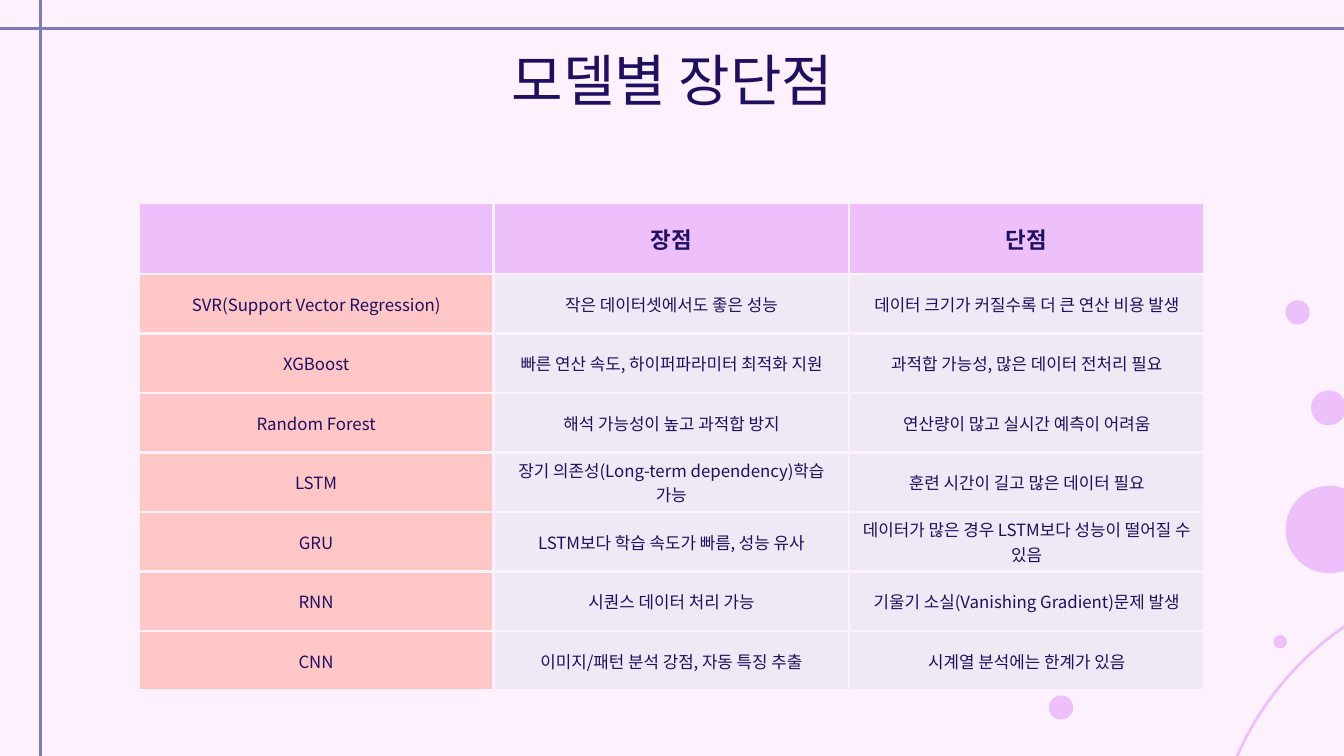
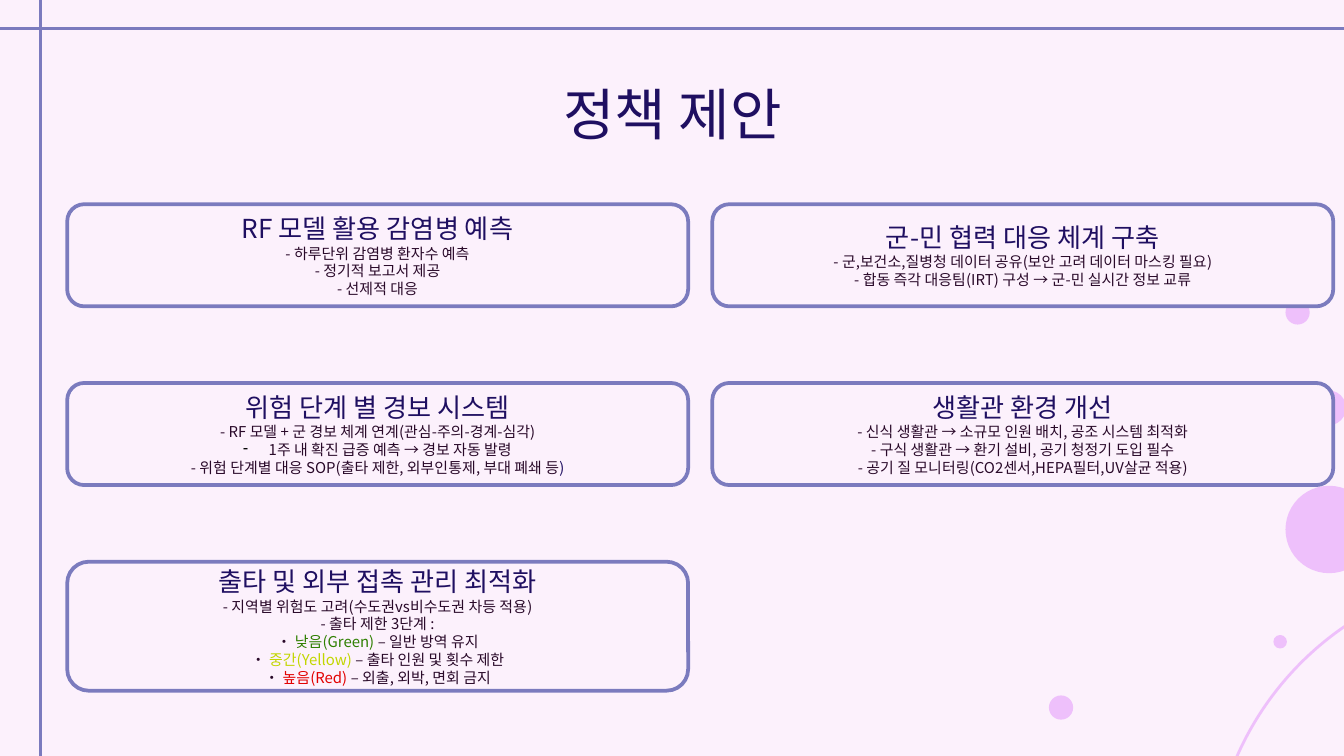
from lxml import etree
from pptx import Presentation
from pptx.dml.color import RGBColor
from pptx.enum.shapes import MSO_CONNECTOR, MSO_SHAPE
from pptx.enum.text import MSO_ANCHOR, PP_ALIGN
from pptx.oxml.ns import qn
from pptx.util import Inches, Pt

FONT = "Noto Sans CJK KR"
BACKGROUND = RGBColor(0xFC, 0xF1, 0xFC)
RULE = RGBColor(0x7B, 0x7B, 0xBE)
ORCHID = RGBColor(0xEE, 0xC0, 0xFB)
PINK = RGBColor(0xFF, 0xC6, 0xC6)
LAVENDER = RGBColor(0xEE, 0xE9, 0xF5)
NAVY = RGBColor(0x1F, 0x0F, 0x61)
PLUM = RGBColor(0x29, 0x09, 0x29)
GREEN = RGBColor(0x2E, 0x7F, 0x00)
YELLOW = RGBColor(0xC2, 0xD6, 0x00)
RED = RGBColor(0xE2, 0x00, 0x00)
BLACK = RGBColor(0, 0, 0)

SLIDE_WIDTH = 10
SLIDE_HEIGHT = SLIDE_WIDTH * 9 / 16
TITLE_BOX = {"left": 0.79, "width": 8.43, "height": 0.63}
TITLE_STYLE = {"size": Pt(30), "color": NAVY}
HEADER_STYLE = {"size": Pt(12), "bold": True, "color": NAVY}
CELL_STYLE = {"size": Pt(9), "bold": False, "color": NAVY}
HEADING_STYLE = {"size": Pt(14), "color": NAVY}
DETAIL_STYLE = {"size": Pt(8), "color": PLUM}

# left, top, diameter
DOTS = [(7.81, 5.18, 0.17), (9.57, 3.62, 0.64), (9.76, 2.91, 0.25),
        (9.57, 2.24, 0.17), (9.48, 4.73, 0.09)]
ARC = (9.01, 4.26, 4.58)

MODELS = [
    ("", "장점", "단점"),
    ("SVR(Support Vector Regression)", "작은 데이터셋에서도 좋은 성능",
     "데이터 크기가 커질수록 더 큰 연산 비용 발생"),
    ("XGBoost", "빠른 연산 속도, 하이퍼파라미터 최적화 지원",
     "과적합 가능성, 많은 데이터 전처리 필요"),
    ("Random Forest", "해석 가능성이 높고 과적합 방지",
     "연산량이 많고 실시간 예측이 어려움"),
    ("LSTM", "장기 의존성(Long-term dependency)학습 가능",
     "훈련 시간이 길고 많은 데이터 필요"),
    ("GRU", "LSTM보다 학습 속도가 빠름, 성능 유사",
     "데이터가 많은 경우 LSTM보다 성능이 떨어질 수 있음"),
    ("RNN", "시퀀스 데이터 처리 가능",
     "기울기 소실(Vanishing Gradient)문제 발생"),
    ("CNN", "이미지/패턴 분석 강점, 자동 특징 추출",
     "시계열 분석에는 한계가 있음"),
]

# Each detail is a list of (text, colour) runs; "dash" is the index of a bulleted one.
PROPOSALS = [
    {"column": 0, "row": 0, "height": 0.76, "heading": "RF 모델 활용 감염병 예측",
     "details": [[("- 하루단위 감염병 환자수 예측", PLUM)],
                 [("- 정기적 보고서 제공", PLUM)],
                 [("- 선제적 대응", PLUM)]]},
    {"column": 1, "row": 0, "height": 0.76, "heading": "군-민 협력 대응 체계 구축",
     "details": [[("- 군,보건소,질병청 데이터 공유(보안 고려 데이터 마스킹 필요)", PLUM)],
                 [("- 합동 즉각 대응팀(IRT) 구성 → 군-민 실시간 정보 교류", PLUM)]]},
    {"column": 0, "row": 1, "height": 0.76, "heading": "위험 단계 별 경보 시스템",
     "dash": 1,
     "details": [[("- RF 모델 + 군 경보 체계 연계(관심-주의-경계-심각)", PLUM)],
                 [("1주 내 확진 급증 예측 → 경보 자동 발령", PLUM)],
                 [("- 위험 단계별 대응 SOP(출타 제한, 외부인통제, 부대 폐쇄 등", PLUM),
                  (")", NAVY)]]},
    {"column": 0, "row": 2, "height": 0.96, "heading": "출타 및 외부 접촉 관리 최적화",
     "details": [[("- 지역별 위험도 고려(수도권vs비수도권 차등 적용)", PLUM)],
                 [("- 출타 제한 3단계 :", PLUM)],
                 [("• ", PLUM), ("낮음(Green) ", GREEN), ("– 일반 방역 유지", PLUM)],
                 [("• ", PLUM), ("중간(Yellow)", YELLOW),
                  (" – 출타 인원 및 횟수 제한", PLUM)],
                 [("• ", PLUM), ("높음(Red)", RED), (" – 외출, 외박, 면회 금지", PLUM)]]},
    {"column": 1, "row": 1, "height": 0.76, "heading": "생활관 환경 개선",
     "details": [[("- 신식 생활관 → 소규모 인원 배치, 공조 시스템 최적화", PLUM)],
                 [("- 구식 생활관 → 환기 설비, 공기 청정기 도입 필수", PLUM)],
                 [("- 공기 질 모니터링(CO2센서,HEPA필터,UV살균 적용)", PLUM)]]},
]


def add_run(paragraph, text, style):
    run = paragraph.add_run()
    run.text = text
    for name, value in style.items():
        if name == "color":
            run.font.color.rgb = value
        else:
            setattr(run.font, name, value)
    run.font.name = FONT
    east_asian = etree.SubElement(run.font._element, qn("a:ea"))
    east_asian.set("typeface", FONT)


def set_frame(frame, margin_x, margin_y, anchor):
    settings = {"margin_left": Inches(margin_x), "margin_right": Inches(margin_x),
                "margin_top": Inches(margin_y), "margin_bottom": Inches(margin_y),
                "vertical_anchor": anchor, "word_wrap": True}
    for name, value in settings.items():
        setattr(frame, name, value)
    frame.paragraphs[0].alignment = PP_ALIGN.CENTER


def add_preset(slide, preset, box, fill, line, line_width):
    shape = slide.shapes.add_shape(preset, *map(Inches, box))
    shape.shadow.inherit = False
    if fill is None:
        shape.fill.background()
    else:
        shape.fill.solid()
        shape.fill.fore_color.rgb = fill
    shape.line.color.rgb = line
    shape.line.width = Pt(line_width)
    return shape


def add_rule(slide, *ends):
    rule = slide.shapes.add_connector(MSO_CONNECTOR.STRAIGHT, *map(Inches, ends))
    rule.line.color.rgb = RULE
    rule.line.width = Pt(1.5)
    etree.SubElement(rule._element.spPr, qn("a:effectLst"))


def add_decoration(slide):
    add_rule(slide, 0.3, 0, 0.3, SLIDE_HEIGHT)
    add_rule(slide, 0, 0.21, SLIDE_WIDTH, 0.21)
    for left, top, diameter in DOTS:
        add_preset(slide, MSO_SHAPE.OVAL, (left, top, diameter, diameter),
                   ORCHID, ORCHID, 0.75)
    left, top, diameter = ARC
    add_preset(slide, MSO_SHAPE.OVAL, (left, top, diameter, diameter),
               None, ORCHID, 1.5)


def add_titled_slide(prs, title, title_top):
    slide = prs.slides.add_slide(prs.slide_layouts[6])
    add_decoration(slide)
    title_box = slide.shapes.add_textbox(
        Inches(TITLE_BOX["left"]), Inches(title_top),
        Inches(TITLE_BOX["width"]), Inches(TITLE_BOX["height"]))
    set_frame(title_box.text_frame, 0.1, 0.1, MSO_ANCHOR.TOP)
    add_run(title_box.text_frame.paragraphs[0], title, TITLE_STYLE)
    return slide


def set_borders(cell):
    properties = cell._tc.get_or_add_tcPr()
    for side in ("lnL", "lnR", "lnT", "lnB"):
        border = etree.SubElement(properties, qn(f"a:{side}"), w=str(Pt(1.5)))
        fill = etree.SubElement(border, qn("a:solidFill"))
        etree.SubElement(fill, qn("a:srgbClr"), val=str(BACKGROUND))


def add_model_table(slide, left, top, width, height, header_height=0.53):
    row_count, column_count = len(MODELS), len(MODELS[0])
    table = slide.shapes.add_table(
        row_count, column_count, *map(Inches, (left, top, width, height))).table
    table.first_row = table.horz_banding = False
    for column in table.columns:
        column.width = Inches(width / column_count)
    body_height = (height - header_height) / (row_count - 1)
    for r, model in enumerate(MODELS):
        table.rows[r].height = Inches(body_height if r else header_height)
        for c, text in enumerate(model):
            cell = table.cell(r, c)
            set_borders(cell)
            cell.fill.solid()
            cell.fill.fore_color.rgb = (
                ORCHID if r == 0 else PINK if c == 0 else LAVENDER)
            margins = {"margin_left": 0.1, "margin_right": 0.1,
                       "margin_top": 0 if r else 0.05,
                       "margin_bottom": 0 if r else 0.05}
            for name, value in margins.items():
                setattr(cell, name, Inches(value))
            cell.vertical_anchor = MSO_ANCHOR.MIDDLE
            if text:
                paragraph = cell.text_frame.paragraphs[0]
                paragraph.alignment = PP_ALIGN.CENTER
                add_run(paragraph, text, CELL_STYLE if r else HEADER_STYLE)


def add_dash_bullet(paragraph):
    properties = paragraph._p.get_or_add_pPr()
    indent = Inches(0.19)
    properties.set("marL", str(indent))
    properties.set("indent", str(-indent))
    bullet_color = etree.SubElement(properties, qn("a:buClr"))
    etree.SubElement(bullet_color, qn("a:srgbClr"), val=str(BLACK))
    etree.SubElement(properties, qn("a:buChar"), char="-")


def add_proposal_card(slide, box, proposal):
    card = add_preset(slide, MSO_SHAPE.ROUNDED_RECTANGLE, box, BACKGROUND, RULE, 2)
    frame = card.text_frame
    set_frame(frame, 0.1, 0.05, MSO_ANCHOR.MIDDLE)
    add_run(frame.paragraphs[0], proposal["heading"], HEADING_STYLE)
    for index, runs in enumerate(proposal["details"]):
        detail = frame.add_paragraph()
        detail.alignment = PP_ALIGN.CENTER
        if index == proposal.get("dash"):
            add_dash_bullet(detail)
        for text, color in runs:
            add_run(detail, text, {**DETAIL_STYLE, "color": color})


def add_proposal_grid(slide, left, top, card_width, column_step, row_step):
    for proposal in PROPOSALS:
        box = (left + proposal["column"] * column_step,
               top + proposal["row"] * row_step, card_width, proposal["height"])
        add_proposal_card(slide, box, proposal)


def main():
    prs = Presentation()
    prs.slide_width = Inches(SLIDE_WIDTH)
    prs.slide_height = Inches(SLIDE_HEIGHT)
    background = prs.slide_master.background.fill
    background.solid()
    background.fore_color.rgb = BACKGROUND

    comparison = add_titled_slide(prs, "모델별 장단점", title_top=0.24)
    add_model_table(comparison, 1.03, 1.51, 7.93, 3.63)

    policy = add_titled_slide(prs, "정책 제안", title_top=0.49)
    add_proposal_grid(policy, 0.5, 1.52, card_width=4.62,
                      column_step=4.8, row_step=1.33)
    prs.save("out.pptx")


if __name__ == "__main__":
    main()
